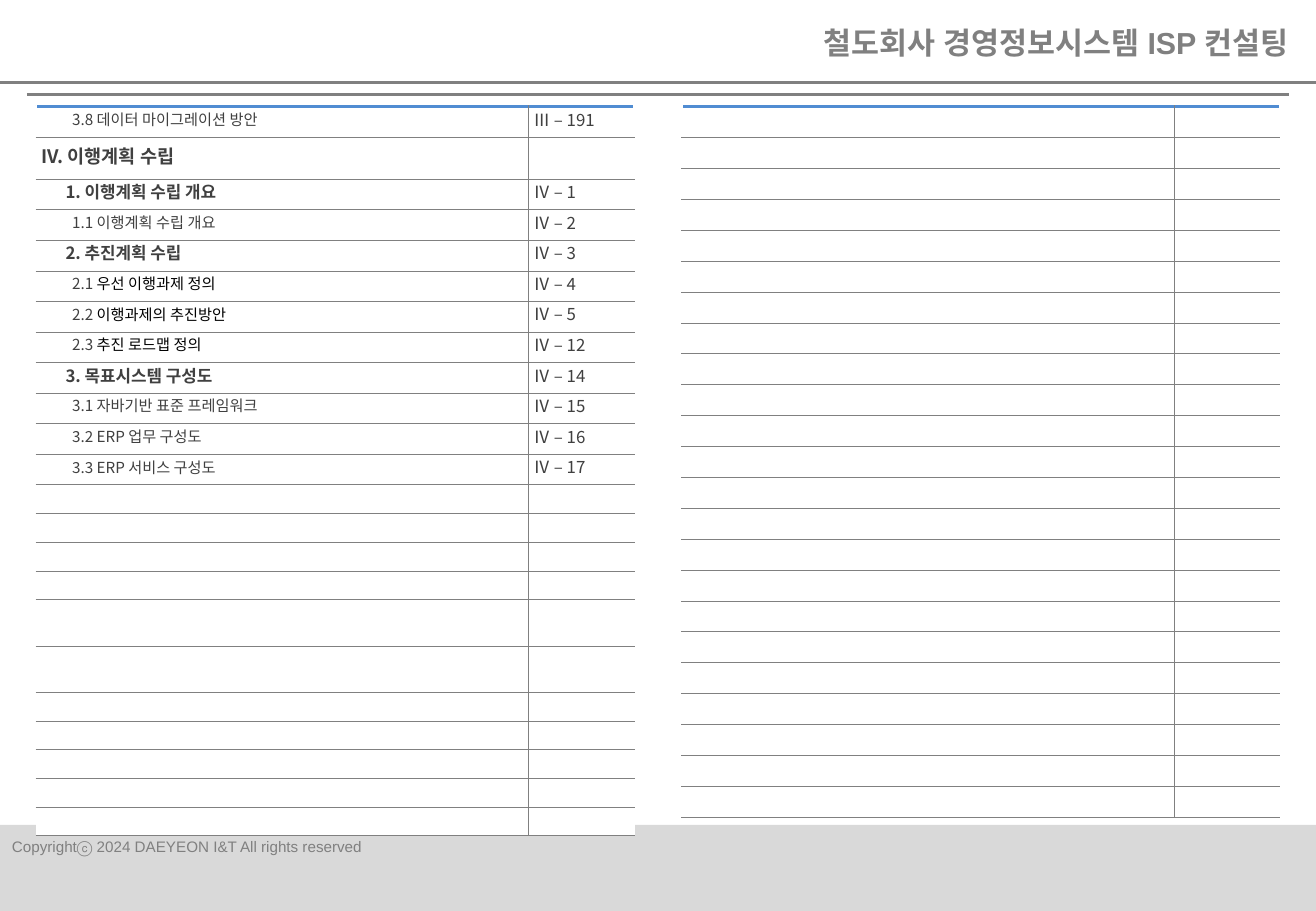
from dataclasses import dataclass

from lxml import etree
from pptx import Presentation
from pptx.dml.color import RGBColor
from pptx.enum.shapes import MSO_CONNECTOR, MSO_SHAPE
from pptx.enum.text import MSO_ANCHOR, MSO_AUTO_SIZE, PP_ALIGN
from pptx.oxml.ns import qn
from pptx.util import Cm, Pt

STRAIGHT = MSO_CONNECTOR.STRAIGHT
RECTANGLE = MSO_SHAPE.RECTANGLE
TOP, MIDDLE, BOTTOM = MSO_ANCHOR.TOP, MSO_ANCHOR.MIDDLE, MSO_ANCHOR.BOTTOM
LEFT, RIGHT = PP_ALIGN.LEFT, PP_ALIGN.RIGHT
NO_AUTOFIT = MSO_AUTO_SIZE.NONE


@dataclass(frozen=True)
class Theme:
    gray: str = "808080"
    band: str = "D9D9D9"
    accent: str = "508CD2"
    ink: str = "404040"
    black: str = "000000"
    white: str = "FFFFFF"
    head_font: str = "Arial"
    toc_font: str = "Noto Sans CJK KR"
    title_size: float = 18
    chapter_size: float = 11
    section_size: float = 10
    item_size: float = 9
    rule_width: float = 1.5
    grid_width: float = 0.5
    top_width: float = 2.2


T = Theme()

CHAPTER = dict(size=T.chapter_size, bold=True)
SECTION = dict(size=T.section_size, bold=True, indent=0.51)
ITEM = dict(size=T.item_size, indent=0.65)

ENTRIES = [
    (ITEM, "3.8 데이터 마이그레이션 방안", "", "Ⅲ – 191"),
    (CHAPTER, "IV. 이행계획 수립", "", ""),
    (SECTION, "1. 이행계획 수립 개요", "", "Ⅳ – 1"),
    (ITEM, "1.1 이행계획 수립 개요", "", "Ⅳ – 2"),
    (SECTION, "2. 추진계획 수립", "", "Ⅳ – 3"),
    (ITEM, "2.1 ", "우선 이행과제 정의", "Ⅳ – 4"),
    (ITEM, "2.2 ", "이행과제의 추진방안", "Ⅳ – 5"),
    (ITEM, "2.3 ", "추진 로드맵 정의", "Ⅳ – 12"),
    (SECTION, "3. 목표시스템 구성도", "", "Ⅳ – 14"),
    (ITEM, "3.1 자바기반 표준 프레임워크", "", "Ⅳ – 15"),
    (ITEM, "3.2 ERP 업무 구성도", "", "Ⅳ – 16"),
    (ITEM, "3.3 ERP 서비스 구성도", "", "Ⅳ – 17"),
]

ROW_COUNT = 23
COLUMNS = (10.29, 2.2)
TABLE_TOP = 2.23
LEFT_ROWS = [0.56, 0.88] + [0.6] * 14 + [0.97] * 2 + [0.6] * 5
RIGHT_ROWS = [14.86 / ROW_COUNT] * ROW_COUNT


def rgb(value):
    return RGBColor.from_string(value)


def write(p, text, size=T.item_size, color=T.ink, bold=False, font=T.toc_font,
          align=LEFT, spacing=None, indent=0):
    p.alignment = align
    if spacing:
        p.line_spacing = spacing
    if indent:
        p._p.get_or_add_pPr().set("marL", str(Cm(indent)))
    r = p.add_run()
    r.text = text
    r.font.size = Pt(size)
    r.font.bold = bold
    r.font.name = font
    r.font.color.rgb = rgb(color)
    ea = etree.SubElement(r._r.get_or_add_rPr(), qn("a:ea"))
    ea.set("typeface", font)


def set_frame(sp, anchor):
    tf = sp.text_frame
    tf.word_wrap = True
    tf.auto_size = NO_AUTOFIT
    tf.vertical_anchor = anchor
    tf.margin_left = tf.margin_right = Cm(0.25)
    tf.margin_top = tf.margin_bottom = Cm(0.13)
    return tf.paragraphs[0]


def add_title(slide, text):
    sp = slide.shapes.title
    sp.left, sp.top, sp.width, sp.height = Cm(12.07), Cm(0.33), Cm(15.11), Cm(1.07)
    write(set_frame(sp, TOP), text, size=T.title_size, color=T.gray, bold=True,
          font=T.head_font, align=RIGHT, spacing=1.05)


def add_rule(slide, x1, x2, y):
    cx = slide.shapes.add_connector(STRAIGHT, Cm(x1), Cm(y), Cm(x2), Cm(y))
    cx.line.color.rgb = rgb(T.gray)
    cx.line.width = Pt(T.rule_width)
    etree.SubElement(cx._element.spPr, qn("a:effectLst"))


def add_footer(slide, width, text):
    band = slide.shapes.add_shape(RECTANGLE, 0, Cm(17.25), width, Cm(1.8))
    band.shadow.inherit = False
    band.fill.solid()
    band.fill.fore_color.rgb = rgb(T.band)
    band.line.fill.background()
    sp = slide.shapes.add_textbox(0, Cm(16.76), Cm(20.14), Cm(1.27))
    write(set_frame(sp, BOTTOM), text, color=T.gray, font=T.head_font, spacing=0.9)


def add_border(cell, side, color, width):
    ln = etree.SubElement(cell._tc.get_or_add_tcPr(), qn("a:ln" + side))
    ln.set("w", str(Pt(width)))
    fill = etree.SubElement(ln, qn("a:solidFill"))
    etree.SubElement(fill, qn("a:srgbClr")).set("val", color)


def format_cell(cell, row, column):
    add_border(cell, "R" if column == 0 else "L", T.gray, T.grid_width)
    if row == 0:
        add_border(cell, "T", T.accent, T.top_width)
    else:
        add_border(cell, "T", T.gray, T.grid_width)
    add_border(cell, "B", T.gray, T.grid_width)
    cell.fill.solid()
    cell.fill.fore_color.rgb = rgb(T.white)
    cell.vertical_anchor = MIDDLE
    cell.margin_left, cell.margin_right = Cm(0.1), 0
    cell.margin_top, cell.margin_bottom = 0, Cm(0.13)
    end = cell.text_frame.paragraphs[0]._p.get_or_add_endParaRPr()
    end.set("sz", str(int(T.item_size * 100)))


def add_toc_table(slide, left, heights, entries=()):
    table = slide.shapes.add_table(
        len(heights), len(COLUMNS), Cm(left), Cm(TABLE_TOP),
        Cm(sum(COLUMNS)), Cm(sum(heights))).table
    table.first_row = table.horz_banding = False
    for column, width in zip(table.columns, COLUMNS):
        column.width = Cm(width)
    for i, height in enumerate(heights):
        table.rows[i].height = Cm(height)
        for j in range(len(COLUMNS)):
            format_cell(table.cell(i, j), i, j)
    for i, (style, text, black_text, page) in enumerate(entries):
        p = table.cell(i, 0).text_frame.paragraphs[0]
        write(p, text, **style)
        if black_text:
            write(p, black_text, color=T.black, **style)
        if page:
            write(table.cell(i, 1).text_frame.paragraphs[0], page, size=T.section_size)


def main():
    prs = Presentation()
    prs.slide_width, prs.slide_height = Cm(27.51), Cm(19.05)
    slide = prs.slides.add_slide(prs.slide_layouts[5])
    add_rule(slide, 0.56, 26.95, 1.98)
    add_rule(slide, 0, 27.51, 1.73)
    add_footer(slide, prs.slide_width, "Copyrightⓒ 2024 DAEYEON I&T All rights reserved")
    add_title(slide, "철도회사 경영정보시스템 ISP 컨설팅")
    add_toc_table(slide, 0.76, LEFT_ROWS, ENTRIES)
    add_toc_table(slide, 14.26, RIGHT_ROWS)
    prs.save("out.pptx")


if __name__ == "__main__":
    main()
